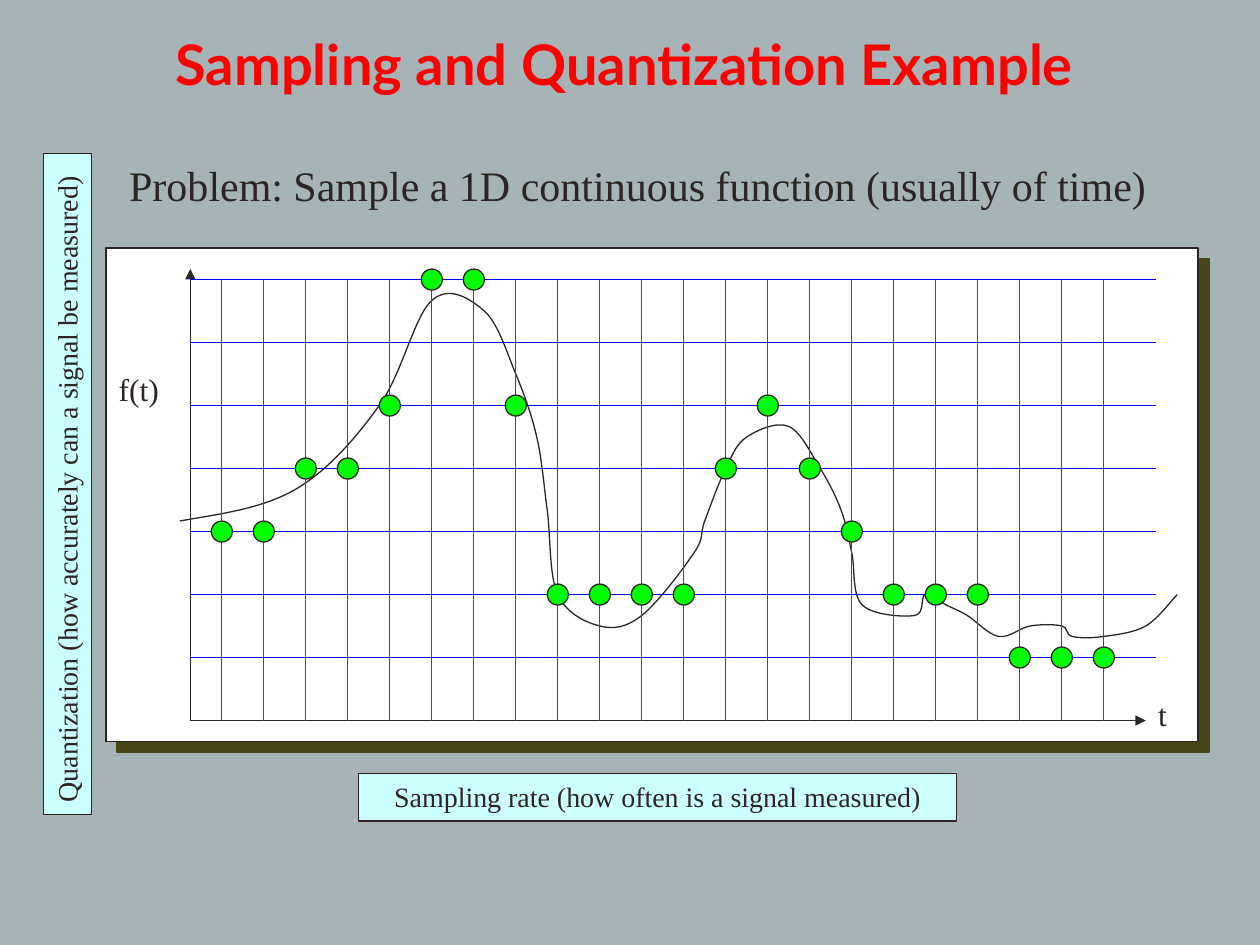
"""Build a slide on sampling and quantizing a continuous signal."""
from dataclasses import dataclass

from lxml import etree
from pptx import Presentation
from pptx.dml.color import RGBColor
from pptx.enum.shapes import MSO_CONNECTOR, MSO_SHAPE
from pptx.enum.text import MSO_ANCHOR, MSO_AUTO_SIZE, PP_ALIGN
from pptx.oxml.ns import qn
from pptx.util import Pt

STRAIGHT = MSO_CONNECTOR.STRAIGHT
RECTANGLE, OVAL = MSO_SHAPE.RECTANGLE, MSO_SHAPE.OVAL
LEFT, CENTER = PP_ALIGN.LEFT, PP_ALIGN.CENTER
TOP, MIDDLE = MSO_ANCHOR.TOP, MSO_ANCHOR.MIDDLE
FIT_SHAPE, NO_FIT = MSO_AUTO_SIZE.SHAPE_TO_FIT_TEXT, MSO_AUTO_SIZE.NONE

ORIGIN_X, ORIGIN_Y = 108.75, 411.75
COLUMN, ROW, UNIT, DOT = 24, 36, 6, 12
FIRST_COLUMN = ORIGIN_X + 18
GRID_TOP, GRID_RIGHT = ORIGIN_Y - 7 * ROW, 660.75
SAMPLE_LEVELS = [3, 3, 4, 4, 5, 7, 7, 5, 2, 2, 2, 2, 4, 5, 4, 3, 2, 2, 2, 1, 1, 1]
CURVE_LEAD_IN = (-13, 18)
CURVE_ANCHORS = [
    (-1, 19), (10, 22), (18, 30), (23, 40), (28, 39), (31, 33), (33, 27), (34, 20),
    (35, 12), (39, 9), (43, 10), (48, 16), (49, 19), (51, 24), (53, 27), (57, 28),
    (60, 24), (62, 20), (63, 16), (64, 11), (69, 10), (70, 12), (72, 11), (74, 10),
    (77, 8), (80, 9), (83, 9), (84, 8), (87, 8), (91, 9), (94, 12),
]


@dataclass(frozen=True)
class Theme:
    """Colours, fonts and type sizes of the slide."""
    background: str = "A7B4B7"
    ink: str = "2D2525"
    title: str = "FF0000"
    panel: str = "FFFFFF"
    panel_shadow: str = "484719"
    sample_line: str = "FF0000"
    level_line: str = "0000FF"
    dot: str = "00FF00"
    caption: str = "CCFFFF"
    title_font: str = "Lato"
    body_font: str = "Times New Roman"
    title_size: int = 32
    problem_size: int = 24
    axis_size: int = 18
    caption_size: int = 16


def color(value):
    """Return the colour for a hex string."""
    return RGBColor.from_string(value)


def write(shape, text, *, size, font, ink, bold=False, align=LEFT, anchor=TOP, fit=FIT_SHAPE):
    """Write one formatted paragraph into a shape."""
    frame = shape.text_frame
    frame.word_wrap = True
    frame.auto_size = fit
    frame.vertical_anchor = anchor
    para = frame.paragraphs[0]
    para.alignment = align
    para.space_before = Pt(0)
    span = para.add_run()
    span.text = text
    span.font.size = Pt(size)
    span.font.name = font
    span.font.bold = bold
    span.font.color.rgb = color(ink)


def curve_vertices(anchors, lead_in):
    """Return control and end points of a smooth curve through the anchors."""
    points = [lead_in, *anchors, anchors[-1]]
    vertices = []
    for before, start, end, after in zip(points, points[1:], points[2:], points[3:]):
        vertices += [
            tuple(s + (e - b) / 6 for b, s, e in zip(before, start, end)),
            tuple(e - (a - s) / 6 for s, e, a in zip(start, end, after)),
            end,
        ]
    return vertices


class Painter:
    """Draws styled elements on the current slide."""

    def __init__(self, slide, theme):
        """Keep the slide and theme, and colour the background."""
        self.slide, self.theme = slide, theme
        slide.background.fill.solid()
        slide.background.fill.fore_color.rgb = color(theme.background)

    def title(self, text, left, top, width, height):
        """Place and fill the title placeholder."""
        box = self.slide.shapes.title
        box.left, box.top, box.width, box.height = map(Pt, (left, top, width, height))
        write(box, text, size=self.theme.title_size, font=self.theme.title_font,
              ink=self.theme.title, bold=True, align=CENTER, anchor=MIDDLE, fit=NO_FIT)

    def label(self, text, left, top, width, height, size):
        """Add a plain text box."""
        box = self.slide.shapes.add_textbox(*map(Pt, (left, top, width, height)))
        write(box, text, size=size, font=self.theme.body_font, ink=self.theme.ink)

    def shape(self, kind, left, top, width, height, fill, line_width=0.75):
        """Add a filled and outlined preset shape."""
        shape = self.slide.shapes.add_shape(kind, *map(Pt, (left, top, width, height)))
        shape.shadow.inherit = False
        shape.fill.solid()
        shape.fill.fore_color.rgb = color(fill)
        shape.line.color.rgb = color(self.theme.ink)
        shape.line.width = Pt(line_width)
        return shape

    def panel(self, left, top, width, height):
        """Add the chart panel with its hard shadow."""
        panel = self.shape(RECTANGLE, left, top, width, height, self.theme.panel, 1)
        effects = panel._element.spPr.find(qn("a:effectLst"))
        shadow = etree.SubElement(effects, qn("a:outerShdw"), dist=str(Pt(8.5)),
                                  dir="2700000", algn="ctr", rotWithShape="0")
        etree.SubElement(shadow, qn("a:srgbClr"), val=self.theme.panel_shadow)

    def caption(self, text, left, top, width, height, align=CENTER, rotation=0):
        """Add a framed caption."""
        box = self.shape(RECTANGLE, left, top, width, height, self.theme.caption)
        box.rotation = rotation
        write(box, text, size=self.theme.caption_size, font=self.theme.body_font,
              ink=self.theme.ink, align=align)

    def line(self, x1, y1, x2, y2, ink, arrow=False):
        """Add a straight line, with an arrowhead at its end if asked."""
        line = self.slide.shapes.add_connector(STRAIGHT, *map(Pt, (x1, y1, x2, y2)))
        line.line.color.rgb = color(ink)
        line.line.width = Pt(0.75)
        if arrow:
            etree.SubElement(line.line._get_or_add_ln(), qn("a:tailEnd"), type="triangle")
        etree.SubElement(line._element.spPr, qn("a:effectLst"))

    def curve(self, anchors, lead_in):
        """Add the signal as a smooth open outline."""
        start, *vertices = [
            (Pt(ORIGIN_X + x * UNIT), Pt(ORIGIN_Y - y * UNIT))
            for x, y in [anchors[0], *curve_vertices(anchors, lead_in)]
        ]
        builder = self.slide.shapes.build_freeform(*start)
        builder.add_line_segments(vertices, close=False)
        signal = builder.convert_to_shape()
        signal.shadow.inherit = False
        signal.fill.background()
        signal.line.color.rgb = color(self.theme.ink)
        signal.line.width = Pt(0.75)
        outline = next(signal._element.iter(qn("a:path")))
        segments = outline.findall(qn("a:lnTo"))
        for index in range(0, len(segments), 3):
            bezier = etree.SubElement(outline, qn("a:cubicBezTo"))
            for segment in segments[index:index + 3]:
                bezier.append(segment[0])
                outline.remove(segment)


def main():
    """Build and save the deck."""
    deck = Presentation()
    deck.slide_width, deck.slide_height = Pt(720), Pt(540)
    theme = Theme()
    painter = Painter(deck.slides.add_slide(deck.slide_layouts[5]), theme)

    painter.title("Sampling and Quantization Example", 18, 12, 678, 48)
    painter.panel(60.75, 141.75, 624, 282)
    painter.line(ORIGIN_X, ORIGIN_Y, ORIGIN_X, 153.75, theme.ink, arrow=True)
    painter.line(ORIGIN_X, ORIGIN_Y, 654.75, ORIGIN_Y, theme.ink, arrow=True)
    painter.label("f(t)", 60.75, 208, 42, 29, theme.axis_size)
    painter.label("t", 654.75, 393.75, 30, 29, theme.axis_size)
    painter.label("Problem: Sample a 1D continuous function (usually of time)",
                  66.75, 87.75, 618, 36, theme.problem_size)
    painter.curve(CURVE_ANCHORS, CURVE_LEAD_IN)

    for column in range(len(SAMPLE_LEVELS)):
        x = FIRST_COLUMN + column * COLUMN
        painter.line(x, ORIGIN_Y, x, GRID_TOP, theme.sample_line)
    for level in range(1, 8):
        y = ORIGIN_Y - level * ROW
        painter.line(ORIGIN_X, y, GRID_RIGHT, y, theme.level_line)
    for column, level in enumerate(SAMPLE_LEVELS):
        painter.shape(OVAL, FIRST_COLUMN + column * COLUMN - DOT / 2,
                      ORIGIN_Y - level * ROW - DOT / 2, DOT, DOT, theme.dot)

    painter.caption("Sampling rate (how often is a signal measured)", 204.75, 442, 342, 27.25)
    painter.caption("Quantization (how accurately can a signal be measured)",
                    -150.5, 263, 378, 27.25, align=LEFT, rotation=270)
    deck.save("out.pptx")


if __name__ == "__main__":
    main()
